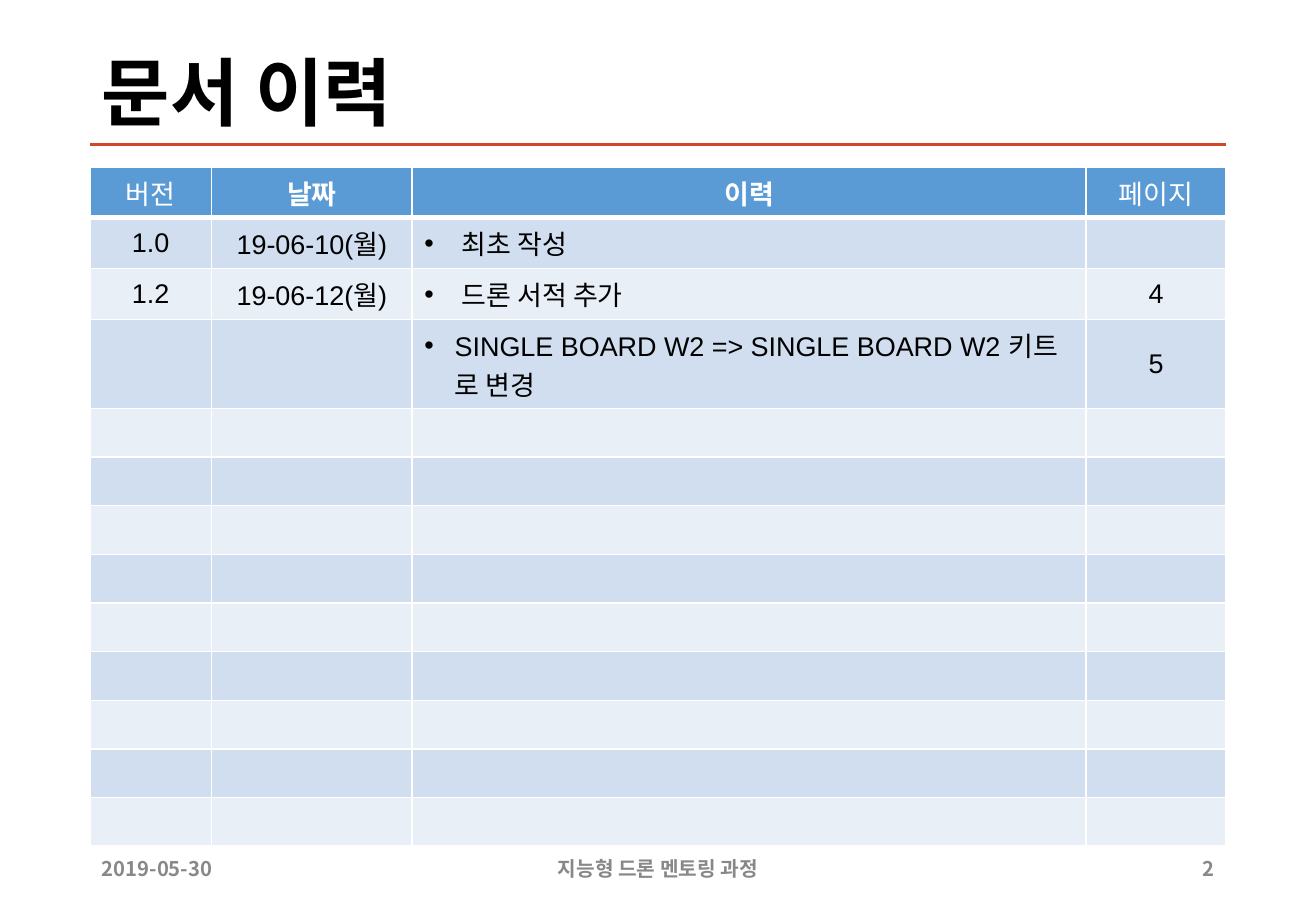
from collections import namedtuple
from itertools import product

from lxml.etree import SubElement
from pptx import Presentation
from pptx.dml.color import RGBColor
from pptx.enum.shapes import MSO_CONNECTOR
from pptx.enum.text import MSO_ANCHOR, PP_ALIGN
from pptx.oxml import parse_xml
from pptx.oxml.ns import nsdecls, qn
from pptx.util import Inches, Pt

Box = namedtuple("Box", "left top width height")

COLORS = {
    "title": "000000", "rule": "D24726", "footer": "888888",
    "header": "5B9BD5", "header_text": "FFFFFF", "body_text": "000000",
    "odd": "D0DEEF", "even": "E9EFF7", "border": "FFFFFF",
}
FORMATS = {
    "title": {"name": "Times New Roman", "size": Pt(44), "bold": True},
    "footer": {"name": "Noto Sans CJK KR", "size": Pt(12), "bold": True},
    "header_text": {"name": "Arial", "size": Pt(16), "bold": True},
    "body_text": {"name": "Arial", "size": Pt(16), "bold": False},
}
HANGUL_FONT = "Noto Sans CJK KR"

HEADINGS = ("버전", "날짜", "이력", "페이지")
LIGHT_HEADINGS = ("버전", "페이지")
HISTORY = (
    ("1.0", "19-06-10(월)", "최초 작성", ""),
    ("1.2", "19-06-12(월)", "드론 서적 추가", "4"),
    ("", "", "SINGLE BOARD W2 => SINGLE BOARD W2 키트 로 변경", "5"),
)
EMPTY_ROWS = 9
CHANGE_COLUMN = HEADINGS.index("이력")
CHANGE_INDENTS = (0.31, 0.31, 0.25)
COLUMN_SHARES = (10.7, 17.67, 59.32, 12.31)
ROW_SHARES = (7.4, 7.6, 7.6, 13.2) + (7.13,) * EMPTY_ROWS

deck = Presentation()
deck.slide_width, deck.slide_height = Inches(10.83), Inches(7.5)


def page_box(left, top, width, height):
    across, down = deck.slide_width / 100, deck.slide_height / 100
    return Box(int(left * across), int(top * down), int(width * across), int(height * down))


def inner_box(box, left, width):
    return Box(int(box.left + box.width * left), box.top, int(box.width * width), box.height)


def write(paragraph, text, role, align=PP_ALIGN.LEFT, **changes):
    paragraph.alignment = align
    words = paragraph.add_run()
    words.text = text
    for attribute, value in {**FORMATS[role], **changes}.items():
        setattr(words.font, attribute, value)
    words.font.color.rgb = RGBColor.from_string(COLORS[role])
    SubElement(words.font._element, qn("a:ea")).set("typeface", HANGUL_FONT)


def add_label(slide, box, text, role, align=PP_ALIGN.LEFT):
    frame = slide.shapes.add_textbox(*box).text_frame
    frame.word_wrap = True
    frame.vertical_anchor = MSO_ANCHOR.MIDDLE
    write(frame.paragraphs[0], text, role, align)
    return frame.paragraphs[0]


def add_heading(slide, box):
    add_label(slide, box, "문서 이력", "title").line_spacing = 0.9
    bottom = box.top + box.height
    rule = slide.shapes.add_connector(
        MSO_CONNECTOR.STRAIGHT, box.left, bottom, box.left + box.width, bottom)
    rule.line.color.rgb = RGBColor.from_string(COLORS["rule"])
    rule.line.width = Pt(2)
    SubElement(rule._element.spPr, qn("a:effectLst"))


def add_borders(cell, widths):
    properties = cell._tc.get_or_add_tcPr()
    for position, (side, width) in enumerate(zip("LRTB", widths)):
        properties.insert(position, parse_xml(
            f'<a:ln{side} {nsdecls("a")} w="{Pt(width)}"><a:solidFill>'
            f'<a:srgbClr val="{COLORS["border"]}"/></a:solidFill></a:ln{side}>'))


def add_bullet(paragraph, indent):
    properties = paragraph._p.get_or_add_pPr()
    properties.set("marL", str(Inches(indent)))
    properties.set("indent", str(-Inches(indent)))
    SubElement(properties, qn("a:buFont")).set("typeface", "Arial")
    SubElement(properties, qn("a:buChar")).set("char", "•")


def style_cell(cell, fill, widths):
    cell.vertical_anchor = MSO_ANCHOR.MIDDLE
    cell.fill.solid()
    cell.fill.fore_color.rgb = RGBColor.from_string(COLORS[fill])
    add_borders(cell, widths)


def add_history(slide, box):
    history = slide.shapes.add_table(len(ROW_SHARES), len(COLUMN_SHARES), *box).table
    for column, share in zip(history.columns, COLUMN_SHARES):
        column.width = int(box.width * share / 100)
    for row, share in zip(history.rows, ROW_SHARES):
        row.height = int(box.height * share / 100)

    for row, column in product(range(len(ROW_SHARES)), range(len(COLUMN_SHARES))):
        fill = "header" if row == 0 else ("even", "odd")[row % 2]
        widths = (1, 1, 3 if row == 1 else 1, 3 if row == 0 else 1)
        style_cell(history.cell(row, column), fill, widths)

    for column, heading in enumerate(HEADINGS):
        write(history.cell(0, column).text_frame.paragraphs[0], heading, "header_text",
              PP_ALIGN.CENTER, bold=heading not in LIGHT_HEADINGS)

    for row, entry in enumerate(HISTORY, 1):
        for column, text in enumerate(entry):
            if not text:
                continue
            paragraph = history.cell(row, column).text_frame.paragraphs[0]
            is_change = column == CHANGE_COLUMN
            write(paragraph, text, "body_text", PP_ALIGN.LEFT if is_change else PP_ALIGN.CENTER)
            if is_change:
                add_bullet(paragraph, CHANGE_INDENTS[row - 1])


def add_footer(slide, box):
    for text, left, width, align in (
        ("2019-05-30", 0, 0.14, PP_ALIGN.LEFT),
        ("지능형 드론 멘토링 과정", 0.3, 0.4, PP_ALIGN.CENTER),
        ("2", 0.94, 0.06, PP_ALIGN.RIGHT),
    ):
        add_label(slide, inner_box(box, left, width), text, "footer", align)


MARGIN, CONTENT = 6.83, 86.34
page = deck.slides.add_slide(deck.slide_layouts[6])
add_heading(page, page_box(MARGIN, 5.33, CONTENT, 10.53))
add_history(page, page_box(MARGIN, 18.4, CONTENT, 73.87))
add_footer(page, page_box(MARGIN, 92.67, CONTENT, 5.33))
deck.save("out.pptx")
